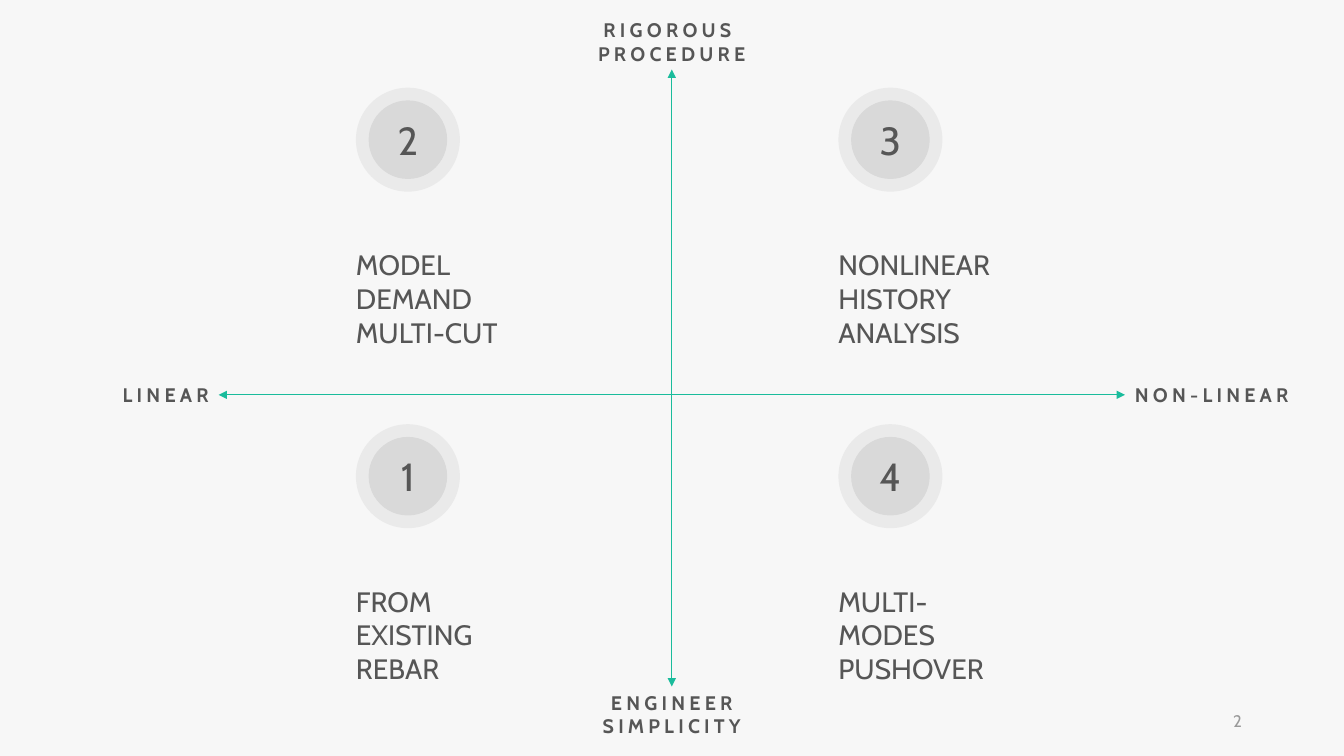
from dataclasses import dataclass

from lxml import etree
from pptx import Presentation
from pptx.dml.color import RGBColor
from pptx.enum.shapes import MSO_CONNECTOR, MSO_SHAPE
from pptx.enum.text import MSO_ANCHOR, PP_ALIGN
from pptx.oxml.ns import qn
from pptx.util import Cm, Pt

STRAIGHT = MSO_CONNECTOR.STRAIGHT
OVAL = MSO_SHAPE.OVAL
TOP, MIDDLE = MSO_ANCHOR.TOP, MSO_ANCHOR.MIDDLE
LEFT, CENTER, RIGHT = PP_ALIGN.LEFT, PP_ALIGN.CENTER, PP_ALIGN.RIGHT


@dataclass(frozen=True)
class Theme:
    font: str = "Cabin"
    background: RGBColor = RGBColor(0xF7, 0xF7, 0xF7)
    ink: RGBColor = RGBColor(0x56, 0x56, 0x56)
    muted: RGBColor = RGBColor(0x9A, 0x9A, 0x9A)
    axis: RGBColor = RGBColor(0x1A, 0xBC, 0x9C)
    badge: RGBColor = RGBColor(0xD9, 0xD9, 0xD9)
    halo_opacity: int = 42
    axis_width: Pt = Pt(0.5)
    label_size: Pt = Pt(14)
    label_tracking: Pt = Pt(3)
    number_size: Pt = Pt(28)
    method_size: Pt = Pt(20)
    page_size: Pt = Pt(12)


THEME = Theme()

# Axis cross: left, top, width, height
AXES_BOX = (Cm(5.51), Cm(1.75), Cm(22.84), Cm(15.55))

# Quadrants: number, lines of the method, column, row
QUADRANTS = [
    ("2", ["MODEL DEMAND", "MULTI-CUT"], 0, 0),
    ("3", ["NONLINEAR HISTORY ANALYSIS"], 1, 0),
    ("1", ["FROM EXISTING REBAR"], 0, 1),
    ("4", ["MULTI-MODES PUSHOVER"], 1, 1),
]
QUADRANT_LEFT, QUADRANT_TOP = Cm(8.97), Cm(2.21)
COLUMN_STEP, ROW_STEP = Cm(12.16), Cm(8.48)
QUADRANT_WIDTH, QUADRANT_HEIGHT = Cm(4.29), Cm(6.73)


def write(frame, lines, size, color=THEME.ink, align=LEFT, anchor=MIDDLE,
          bold=False, tracking=0):
    frame.word_wrap = True
    frame.vertical_anchor = anchor
    for index, line in enumerate(lines):
        paragraph = frame.paragraphs[0] if index == 0 else frame.add_paragraph()
        run = paragraph.add_run()
        run.text = line
        paragraph.alignment = align
        paragraph.font.name = THEME.font
        paragraph.font.size = size
        paragraph.font.bold = bold
        paragraph.font.color.rgb = color
        if tracking:
            run.font._element.set("spc", str(int(tracking.pt * 100)))


def add_text(shapes, box, lines, size, **style):
    frame = shapes.add_textbox(*box).text_frame
    write(frame, lines, size, **style)
    return frame


def add_axis(shapes, start, end):
    axis = shapes.add_connector(STRAIGHT, *start, *end)
    axis.line.color.rgb = THEME.axis
    axis.line.width = THEME.axis_width
    outline = axis.line._get_or_add_ln()
    for arrowhead in ("a:headEnd", "a:tailEnd"):
        etree.SubElement(outline, qn(arrowhead), type="triangle")
    etree.SubElement(axis._element.spPr, qn("a:effectLst"))


def add_disc(shapes, left, top, size, opacity=100):
    disc = shapes.add_shape(OVAL, left, top, size, size)
    disc.shadow.inherit = False
    disc.fill.solid()
    disc.fill.fore_color.rgb = THEME.badge
    disc.line.fill.background()
    if opacity < 100:
        color = disc._element.spPr.find(qn("a:solidFill")).find(qn("a:srgbClr"))
        etree.SubElement(color, qn("a:alpha"), val=str(opacity * 1000))
    return disc


def add_axes(shapes, box):
    left, top, width, height = box
    right, bottom = left + width, top + height
    center_x = left + width // 2
    center_y = Cm(9.95)
    add_axis(shapes, (center_x, top), (center_x, bottom))
    add_axis(shapes, (left, center_y), (right, center_y))

    # Labels at the four ends
    label_width, tall, short = Cm(4.75), Cm(1.45), Cm(0.87)
    label_x = center_x - label_width // 2
    label_y = center_y - short // 2
    ends = [
        (label_x, top - tall + Cm(0.03), tall, ["RIGOROUS ", "PROCEDURE"], CENTER),
        (label_x, bottom - Cm(0.03), tall, ["ENGINEER", "SIMPLICITY"], CENTER),
        (right, label_y, short, ["NON-LINEAR"], LEFT),
        (left - label_width, label_y, short, ["LINEAR"], RIGHT),
    ]
    for x, y, label_height, lines, align in ends:
        add_text(shapes, (x, y, label_width, label_height), lines, THEME.label_size,
                 align=align, bold=True, tracking=THEME.label_tracking)


def add_quadrant(shapes, box, number, method):
    left, top, width, height = box

    # Numbered badge with a pale halo
    halo_size, core_size = Cm(2.62), Cm(1.98)
    inset = (halo_size - core_size) // 2
    badge = shapes.add_group_shape().shapes
    add_disc(badge, left + inset, top + inset, core_size)
    halo = add_disc(badge, left, top, halo_size, THEME.halo_opacity)
    write(halo.text_frame, [number], THEME.number_size, align=CENTER)

    # Method name
    method_height = Cm(2.82)
    method_box = (left, top + height - method_height, width, method_height)
    frame = add_text(shapes, method_box, method, THEME.method_size, anchor=TOP)
    frame.margin_left = 0


def add_page_number(shapes, box, number):
    add_text(shapes, box, [number], THEME.page_size, color=THEME.muted, align=RIGHT)


def build_matrix_slide(presentation):
    slide = presentation.slides.add_slide(presentation.slide_layouts[6])
    slide.background.fill.solid()
    slide.background.fill.fore_color.rgb = THEME.background
    add_axes(slide.shapes, AXES_BOX)
    for number, method, column, row in QUADRANTS:
        box = (QUADRANT_LEFT + column * COLUMN_STEP, QUADRANT_TOP + row * ROW_STEP,
               QUADRANT_WIDTH, QUADRANT_HEIGHT)
        add_quadrant(slide.shapes, box, number, method)
    add_page_number(slide.shapes, (Cm(23.93), Cm(17.65), Cm(7.62), Cm(1.02)), "2")


def main():
    presentation = Presentation()
    presentation.slide_width = Cm(33.87)
    presentation.slide_height = Cm(19.05)
    build_matrix_slide(presentation)
    presentation.save("out.pptx")


if __name__ == "__main__":
    main()
